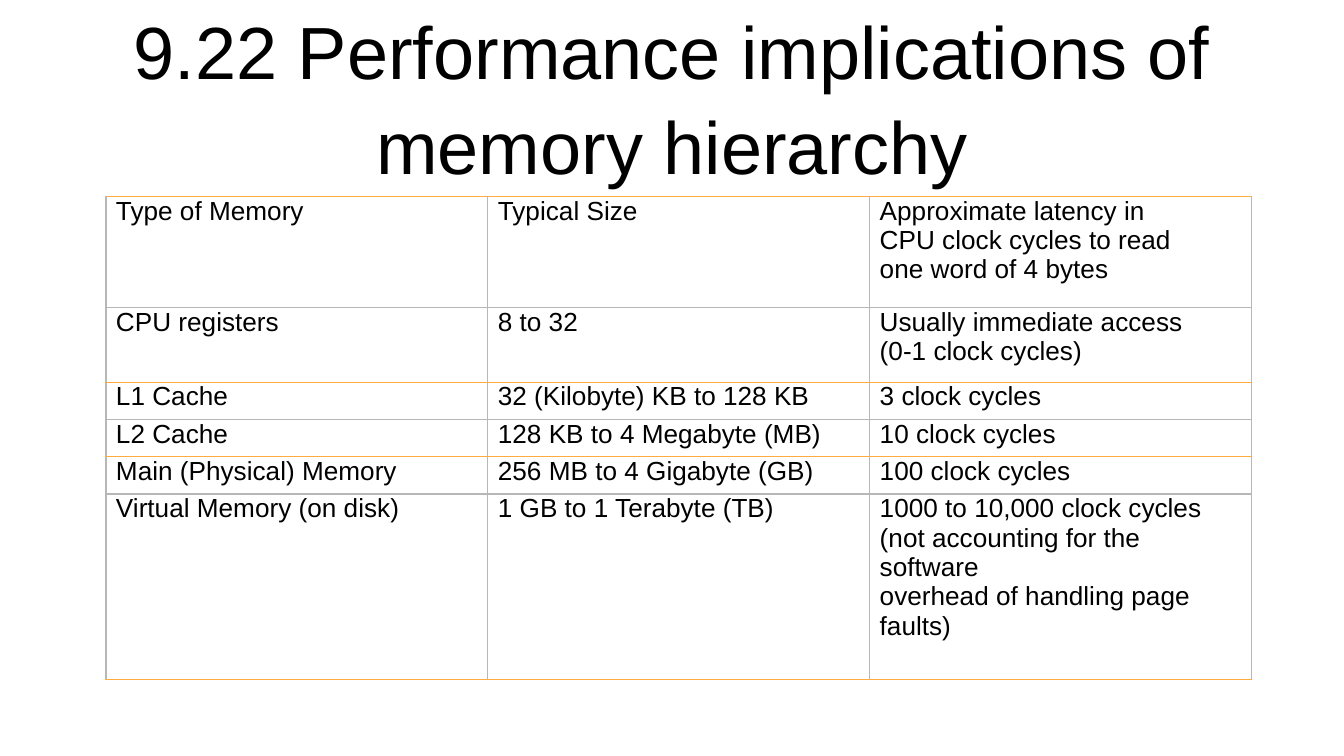
from dataclasses import dataclass

from lxml.etree import SubElement
from pptx import Presentation
from pptx.dml.color import RGBColor
from pptx.enum.text import MSO_ANCHOR, PP_ALIGN
from pptx.oxml.ns import qn
from pptx.slide import Slide
from pptx.table import _Cell
from pptx.text.text import _Paragraph
from pptx.util import Pt


@dataclass(frozen=True)
class Theme:
    font: str = "Arial"
    ink: str = "000000"
    accent: str = "FFAB40"
    grid: str = "B7B7B7"
    background: str = "FFFFFF"
    title_size: float = 39.6
    body_size: float = 14
    border_width: float = 0.75


@dataclass(frozen=True)
class MemoryLevel:
    height: float
    memory: str
    size: str
    latency: tuple[str, ...]


THEME = Theme()
COLUMN_WIDTH = 204.6
LEVELS = [
    MemoryLevel(59.5, "Type of Memory", "Typical Size",
                ("Approximate latency in", "CPU clock cycles to read",
                 "one word of 4 bytes")),
    MemoryLevel(40, "CPU registers", "8 to 32",
                ("Usually immediate access", "(0-1 clock cycles)")),
    MemoryLevel(20, "L1 Cache", "32 (Kilobyte) KB to 128 KB", ("3 clock cycles",)),
    MemoryLevel(20, "L2 Cache", "128 KB to 4 Megabyte (MB)", ("10 clock cycles",)),
    MemoryLevel(20, "Main (Physical) Memory", "256 MB to 4 Gigabyte (GB)",
                ("100 clock cycles",)),
    MemoryLevel(99.5, "Virtual Memory (on disk)", "1 GB to 1 Terabyte (TB)",
                ("1000 to 10,000 clock cycles", "(not accounting for the software",
                 "overhead of handling page faults)")),
]


def add_run(paragraph: _Paragraph, text: str, size: float) -> None:
    run = paragraph.add_run()
    run.text = text
    run.font.name = THEME.font
    run.font.size = Pt(size)
    run.font.color.rgb = RGBColor.from_string(THEME.ink)


def rule_color(index: int) -> str:
    """Horizontal rules alternate, starting with the accent at the top."""
    return THEME.grid if index % 2 else THEME.accent


def set_borders(cell: _Cell, row: int) -> None:
    properties = cell._tc.get_or_add_tcPr()
    sides = {"a:lnL": THEME.grid, "a:lnR": THEME.grid,
             "a:lnT": rule_color(row), "a:lnB": rule_color(row + 1)}
    for side, color in sides.items():
        line = SubElement(properties, qn(side), w=str(Pt(THEME.border_width)))
        fill = SubElement(line, qn("a:solidFill"))
        SubElement(fill, qn("a:srgbClr"), val=color)


def fill_cell(cell: _Cell, lines: tuple[str, ...], row: int) -> None:
    set_borders(cell, row)
    cell.fill.background()
    cell.margin_left = cell.margin_right = Pt(5.4)
    cell.margin_top = cell.margin_bottom = Pt(0)
    frame = cell.text_frame
    for index, text in enumerate(lines):
        paragraph = frame.add_paragraph() if index else frame.paragraphs[0]
        add_run(paragraph, text, THEME.body_size)


def add_title(slide: Slide, text: str) -> None:
    frame = slide.shapes.add_textbox(Pt(36), Pt(16.5), Pt(648), Pt(67.5)).text_frame
    frame.word_wrap = True
    frame.vertical_anchor = MSO_ANCHOR.MIDDLE
    heading = frame.paragraphs[0]
    heading.alignment = PP_ALIGN.CENTER
    heading.line_spacing = 1.08
    add_run(heading, text, THEME.title_size)


def add_memory_table(slide: Slide, levels: list[MemoryLevel]) -> None:
    table = slide.shapes.add_table(
        len(levels), 3, Pt(56.75), Pt(105.25),
        Pt(3 * COLUMN_WIDTH), Pt(sum(level.height for level in levels))).table
    table.first_row = table.horz_banding = False
    for column in table.columns:
        column.width = Pt(COLUMN_WIDTH)
    for row, level in enumerate(levels):
        table.rows[row].height = Pt(level.height)
        contents = ((level.memory,), (level.size,), level.latency)
        for column, lines in enumerate(contents):
            fill_cell(table.cell(row, column), lines, row)


def main() -> None:
    deck = Presentation()
    deck.slide_width, deck.slide_height = Pt(720), Pt(405)
    slide = deck.slides.add_slide(deck.slide_layouts[6])
    slide.background.fill.solid()
    slide.background.fill.fore_color.rgb = RGBColor.from_string(THEME.background)
    add_title(slide, "9.22 Performance implications of memory hierarchy")
    add_memory_table(slide, LEVELS)
    deck.save("out.pptx")


if __name__ == "__main__":
    main()
